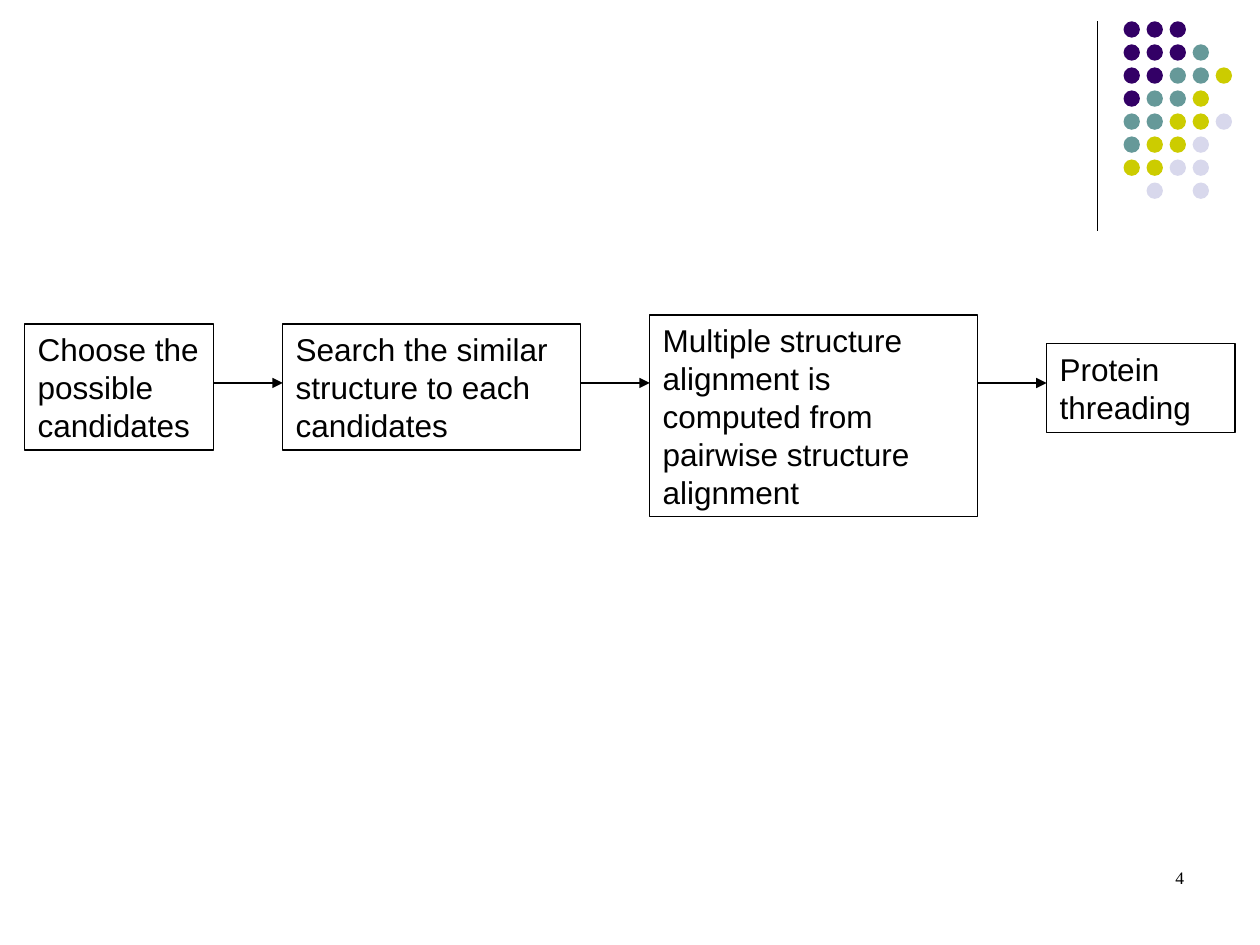
from lxml.etree import SubElement
from pptx import Presentation
from pptx.dml.color import RGBColor
from pptx.enum.shapes import MSO_CONNECTOR as Connector, MSO_SHAPE as Shape
from pptx.enum.text import MSO_ANCHOR as Anchor, PP_ALIGN as Align
from pptx.oxml.ns import qn
from pptx.util import Cm, Pt

BLACK = RGBColor(0x00, 0x00, 0x00)
PURPLE = RGBColor(0x33, 0x00, 0x66)
TEAL = RGBColor(0x66, 0x99, 0x99)
OLIVE = RGBColor(0xCC, 0xCC, 0x00)
LAVENDER = RGBColor(0xD8, 0xD8, 0xEC)

DOT_COLORS = {"P": PURPLE, "T": TEAL, "O": OLIVE, "L": LAVENDER}
DOT_ROWS = ["PPP", "PPPT", "PPTTO", "PTTO", "TTOOL", "TOOL", "OOLL", " L L"]

# Text, box width, box top (cm from the top of the flow), number of lines
STEPS = [
    ("Choose the possible candidates", 3.8, 0.18, 3),
    ("Search the similar structure to each candidates", 6, 0.18, 3),
    ("Multiple structure alignment is computed from pairwise structure alignment", 6.6, 0, 5),
    ("Protein threading", 3.8, 0.58, 2),
]
STEP_GAP = Cm(1.4)
ARROW_OFFSET = Cm(1.37)
LINE_SPACING = Pt(21.6)
MARGIN = Cm(0.13)

STEP_FONT = {"name": "Arial", "size": Pt(18)}
NUMBER_FONT = {"name": "Times New Roman", "size": Pt(10)}


def add_line(slide, x1, y1, x2, y2, arrow=False):
    line = slide.shapes.add_connector(Connector.STRAIGHT, x1, y1, x2, y2)
    line.line.color.rgb = BLACK
    line.line.width = Pt(0.75)
    properties = line.element.spPr
    if arrow:
        SubElement(properties.find(qn("a:ln")), qn("a:tailEnd"), type="triangle")
    SubElement(properties, qn("a:effectLst"))


def write_text(shape, text, font_format, align):
    frame = shape.text_frame
    frame.word_wrap = True
    frame.vertical_anchor = Anchor.TOP
    frame.margin_top = frame.margin_bottom = MARGIN
    frame.margin_left = frame.margin_right = 2 * MARGIN
    paragraph = frame.paragraphs[0]
    paragraph.text = text
    paragraph.alignment = align
    for name, value in font_format.items():
        setattr(paragraph.font, name, value)
    paragraph.font.color.rgb = BLACK
    return paragraph


def add_corner_dots(slide, left, top, height):
    """Grid of dots that fills the given height."""
    size = Cm(0.33)
    pitch = (height - size) / (len(DOT_ROWS) - 1)
    for row, codes in enumerate(DOT_ROWS):
        for column, code in enumerate(codes):
            if code not in DOT_COLORS:
                continue
            dot = slide.shapes.add_shape(
                Shape.OVAL, int(left + column * pitch), int(top + row * pitch), size, size)
            dot.shadow.inherit = False
            dot.fill.solid()
            dot.fill.fore_color.rgb = DOT_COLORS[code]
            dot.line.fill.background()


def add_flow(slide, left, top):
    """Row of step boxes joined by arrows at one common height."""
    arrow_y = top + ARROW_OFFSET
    for index, (text, width, offset, lines) in enumerate(STEPS):
        if index:
            add_line(slide, left, arrow_y, left + STEP_GAP, arrow_y, arrow=True)
            left += STEP_GAP
        box = slide.shapes.add_shape(
            Shape.RECTANGLE, left, top + Cm(offset), Cm(width),
            lines * LINE_SPACING + 2 * MARGIN)
        box.shadow.inherit = False
        box.fill.background()
        box.line.color.rgb = BLACK
        box.line.width = Pt(0.75)
        paragraph = write_text(box, text, STEP_FONT, Align.LEFT)
        paragraph.line_spacing = LINE_SPACING
        left += Cm(width)


def add_page_number(slide, left, top, width, height):
    box = slide.shapes.add_textbox(left, top, width, height)
    write_text(box, "4", NUMBER_FONT, Align.RIGHT)


def main():
    presentation = Presentation()
    presentation.slide_width = Cm(25.4)
    presentation.slide_height = Cm(19.05)
    slide = presentation.slides.add_slide(presentation.slide_layouts[6])

    # Corner decoration
    add_line(slide, Cm(22.12), Cm(0.43), Cm(22.12), Cm(4.65))
    add_corner_dots(slide, Cm(22.65), Cm(0.43), Cm(3.58))

    # Process steps
    add_flow(slide, Cm(0.5), Cm(6.35))

    # Footer
    add_page_number(slide, Cm(18.21), Cm(17.35), Cm(5.92), Cm(1.27))

    presentation.save("out.pptx")


if __name__ == "__main__":
    main()
